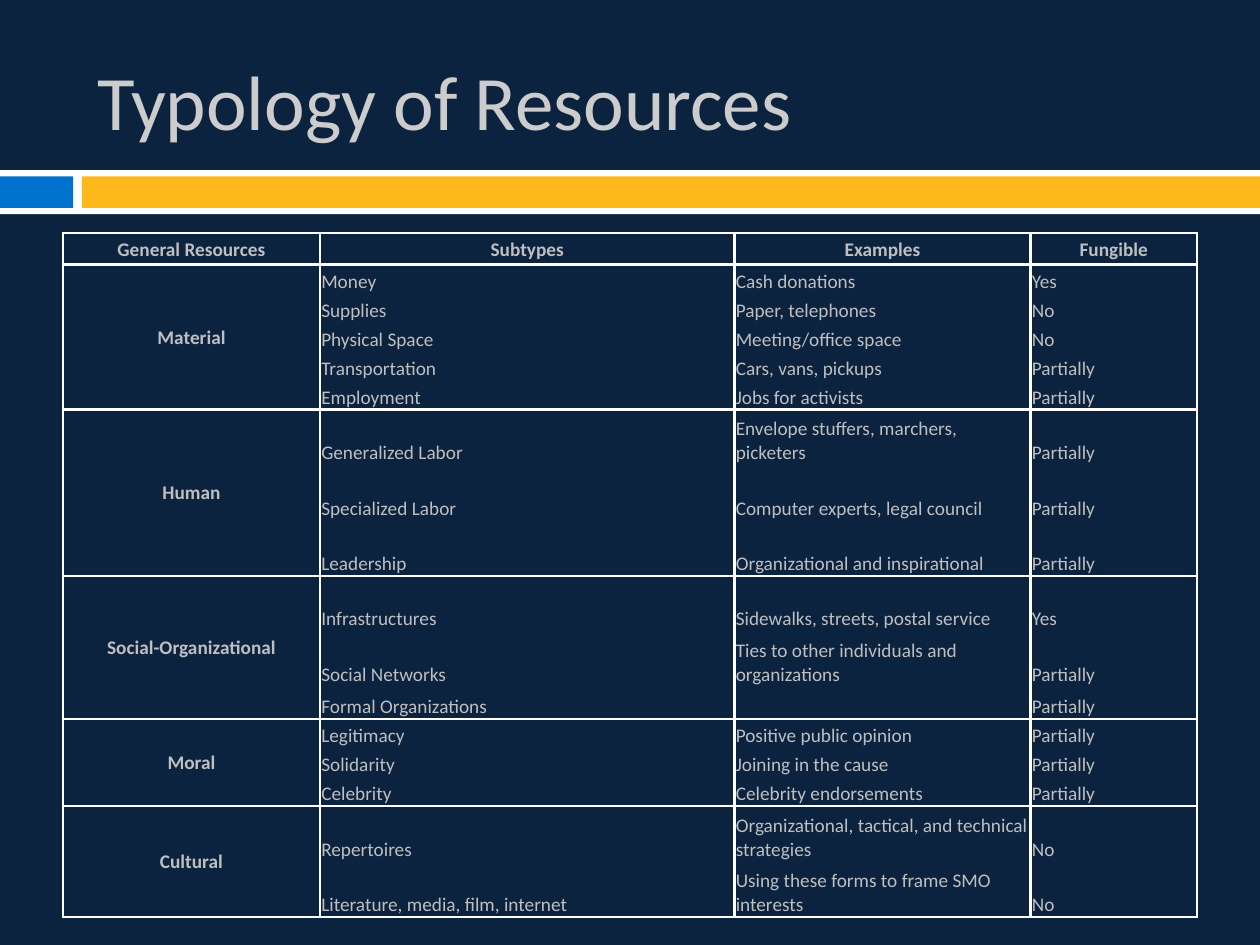
from dataclasses import dataclass

from lxml import etree
from pptx import Presentation
from pptx.dml.color import RGBColor
from pptx.enum import shapes, text
from pptx.oxml import ns
from pptx.util import Inches, Pt

COLORS = {
    "navy": "0C2340", "white": "FFFFFF", "blue": "0072CE",
    "gold": "FFB81C", "title": "CCCCCC", "body": "BFBFBF",
}
FONT = "Calibri"
BODY_SIZE = Pt(11)
BORDER_WIDTH = Pt(1.5)
COLUMN_WIDTHS = [2.04, 3.29, 2.35, 1.32]
HEADINGS = ["General Resources", "Subtypes", "Examples", "Fungible"]
HEADING_HEIGHT, SINGLE, DOUBLE = 0.25, 0.23, 0.44


@dataclass
class Band:
    left: float
    top: float
    width: float
    height: float
    color: str


@dataclass
class Resource:
    subtype: str
    example: str
    fungible: str
    height: float = SINGLE


@dataclass
class Group:
    name: str
    resources: list[Resource]


BANDS = [
    Band(0, 1.35, 10, 0.35, "white"),
    Band(0, 1.4, 0.58, 0.25, "blue"),
    Band(0.65, 1.4, 9.35, 0.25, "gold"),
]
GROUPS = [
    Group("Material", [
        Resource("Money", "Cash donations", "Yes"),
        Resource("Supplies", "Paper, telephones", "No"),
        Resource("Physical Space", "Meeting/office space", "No"),
        Resource("Transportation", "Cars, vans, pickups", "Partially"),
        Resource("Employment", "Jobs for activists", "Partially"),
    ]),
    Group("Human", [
        Resource("Generalized Labor", "Envelope stuffers, marchers, picketers", "Partially", DOUBLE),
        Resource("Specialized Labor", "Computer experts, legal council", "Partially", DOUBLE),
        Resource("Leadership", "Organizational and inspirational", "Partially", DOUBLE),
    ]),
    Group("Social-Organizational", [
        Resource("Infrastructures", "Sidewalks, streets, postal service", "Yes", DOUBLE),
        Resource("Social Networks", "Ties to other individuals and organizations", "Partially", DOUBLE),
        Resource("Formal Organizations", "", "Partially", 0.26),
    ]),
    Group("Moral", [
        Resource("Legitimacy", "Positive public opinion", "Partially"),
        Resource("Solidarity", "Joining in the cause", "Partially"),
        Resource("Celebrity", "Celebrity endorsements", "Partially"),
    ]),
    Group("Cultural", [
        Resource("Repertoires", "Organizational, tactical, and technical strategies", "No", DOUBLE),
        Resource("Literature, media, film, internet", "Using these forms to frame SMO interests", "No", DOUBLE),
    ]),
]


def rgb(name: str) -> RGBColor:
    return RGBColor.from_string(COLORS[name])


def draw_band(page, band: Band) -> None:
    box = page.shapes.add_shape(
        shapes.MSO_SHAPE.RECTANGLE, Inches(band.left), Inches(band.top),
        Inches(band.width), Inches(band.height))
    box.shadow.inherit = False
    box.fill.solid()
    box.fill.fore_color.rgb = rgb(band.color)
    box.line.fill.background()


def draw_title(page, words: str) -> None:
    title = page.shapes.title
    title.left, title.top = Inches(0.67), Inches(0.25)
    title.width, title.height = Inches(8.92), Inches(1.08)
    title.text_frame.text = words
    title.text_frame.vertical_anchor = text.MSO_ANCHOR.MIDDLE
    para = title.text_frame.paragraphs[0]
    para.alignment = text.PP_ALIGN.LEFT
    font = para.runs[0].font
    font.name, font.size = FONT, Pt(44)
    font.color.rgb = rgb("title")


def set_borders(cell, top: bool, bottom: bool) -> None:
    """Line both sides always, and the top and bottom on request."""
    properties = cell._tc.get_or_add_tcPr()
    for side, visible in (("L", True), ("R", True), ("T", top), ("B", bottom)):
        line = etree.SubElement(properties, ns.qn(f"a:ln{side}"), w=str(BORDER_WIDTH))
        if visible:
            fill = etree.SubElement(line, ns.qn("a:solidFill"))
            etree.SubElement(fill, ns.qn("a:srgbClr"), val=COLORS["white"])
        else:
            etree.SubElement(line, ns.qn("a:noFill"))


def fill_cell(cell, words: str, label: bool, top: bool = True, bottom: bool = True) -> None:
    """Labels are bold and centred; other cells sit at the bottom left."""
    set_borders(cell, top, bottom)
    cell.fill.background()
    cell.margin_left = cell.margin_right = cell.margin_top = Inches(0.01)
    cell.margin_bottom = 0
    cell.vertical_anchor = text.MSO_ANCHOR.MIDDLE if label else text.MSO_ANCHOR.BOTTOM
    para = cell.text_frame.paragraphs[0]
    para.alignment = text.PP_ALIGN.CENTER if label else text.PP_ALIGN.LEFT
    if not words:
        etree.SubElement(para._p, ns.qn("a:endParaRPr"), sz=str(int(BODY_SIZE.pt * 100)))
        return
    para.text = words
    font = para.runs[0].font
    font.name, font.size, font.bold = FONT, BODY_SIZE, label
    font.color.rgb = rgb("body")


def draw_group(table, group: Group, first_row: int) -> None:
    last_row = first_row + len(group.resources) - 1
    for row, resource in enumerate(group.resources, first_row):
        top, bottom = row == first_row, row == last_row
        table.rows[row].height = Inches(resource.height)
        fill_cell(table.cell(row, 0), group.name if top else "", True)
        values = (resource.subtype, resource.example, resource.fungible)
        for column, words in enumerate(values, 1):
            fill_cell(table.cell(row, column), words, False, top, bottom)
    table.cell(first_row, 0).merge(table.cell(last_row, 0))


def draw_table(page) -> None:
    heights = [HEADING_HEIGHT] + [r.height for group in GROUPS for r in group.resources]
    table = page.shapes.add_table(
        len(heights), len(HEADINGS), Inches(0.5), Inches(1.85),
        Inches(sum(COLUMN_WIDTHS)), Inches(sum(heights))).table
    table.first_row = table.horz_banding = False
    table.rows[0].height = Inches(HEADING_HEIGHT)
    for column, (width, heading) in enumerate(zip(COLUMN_WIDTHS, HEADINGS)):
        table.columns[column].width = Inches(width)
        fill_cell(table.cell(0, column), heading, True)
    row = 1
    for group in GROUPS:
        draw_group(table, group, row)
        row += len(group.resources)


def main() -> None:
    deck = Presentation()
    deck.slide_width, deck.slide_height = Inches(10), Inches(7.5)
    page = deck.slides.add_slide(deck.slide_layouts.get_by_name("Title Only"))
    page.background.fill.solid()
    page.background.fill.fore_color.rgb = rgb("navy")
    for band in BANDS:
        draw_band(page, band)
    draw_title(page, "Typology of Resources")
    draw_table(page)
    deck.save("out.pptx")


if __name__ == "__main__":
    main()
